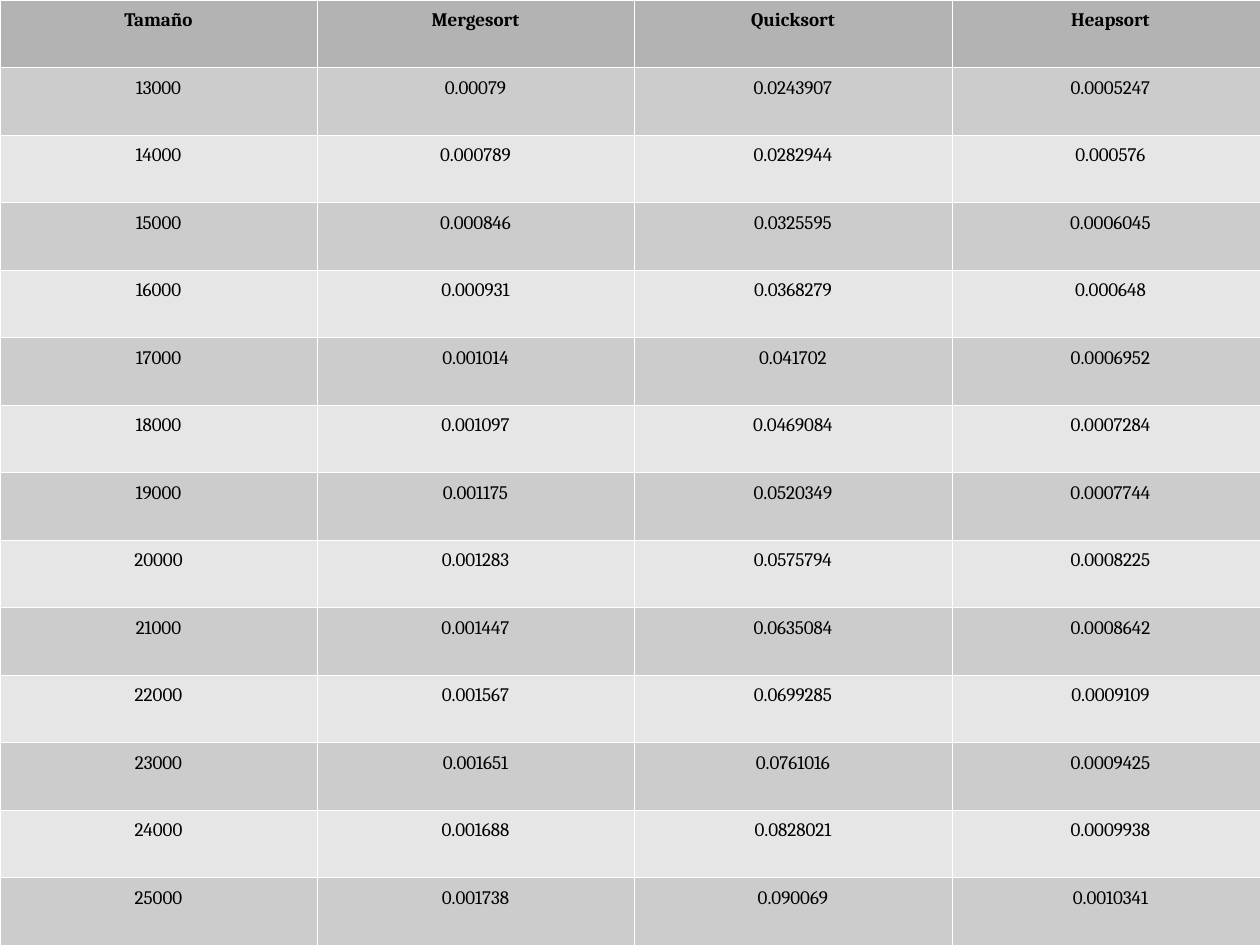
"""Build a slide with a table of sorting times by input size."""
import lxml.etree
import pptx
import pptx.dml.color
import pptx.enum.text
import pptx.oxml.ns
import pptx.util

HEADINGS = ("Tamaño", "Mergesort", "Quicksort", "Heapsort")
TIMES = [
    ("13000", "0.00079", "0.0243907", "0.0005247"),
    ("14000", "0.000789", "0.0282944", "0.000576"),
    ("15000", "0.000846", "0.0325595", "0.0006045"),
    ("16000", "0.000931", "0.0368279", "0.000648"),
    ("17000", "0.001014", "0.041702", "0.0006952"),
    ("18000", "0.001097", "0.0469084", "0.0007284"),
    ("19000", "0.001175", "0.0520349", "0.0007744"),
    ("20000", "0.001283", "0.0575794", "0.0008225"),
    ("21000", "0.001447", "0.0635084", "0.0008642"),
    ("22000", "0.001567", "0.0699285", "0.0009109"),
    ("23000", "0.001651", "0.0761016", "0.0009425"),
    ("24000", "0.001688", "0.0828021", "0.0009938"),
    ("25000", "0.001738", "0.090069", "0.0010341"),
]
THEME = {
    "font": "Cambria",
    "size": 12,
    "line_spacing": 1.18,
    "text": "000000",
    "header": "B3B3B3",
    "bands": ("CCCCCC", "E6E6E6"),
    "border": "FFFFFF",
    "border_width": 0.11,
}
EMU_PER_PX = 8000
SLIDE_WIDTH, SLIDE_HEIGHT = 1260, 945
COLUMN_WIDTHS = (317, 317, 318, 317)


def px(length):
    return pptx.util.Emu(length * EMU_PER_PX)


def rgb(color):
    return pptx.dml.color.RGBColor.from_string(color)


def write_text(frame, text, *, bold=False, size=THEME["size"], color=THEME["text"]):
    paragraph = frame.paragraphs[0]
    paragraph.alignment = pptx.enum.text.PP_ALIGN.CENTER
    paragraph.line_spacing = THEME["line_spacing"]
    run = paragraph.add_run()
    run.text = text
    run.font.name = THEME["font"]
    run.font.size = pptx.util.Pt(size)
    run.font.bold = bold
    run.font.color.rgb = rgb(color)


def draw_borders(cell):
    qualified = pptx.oxml.ns.qn
    properties = cell._tc.get_or_add_tcPr()
    width = str(pptx.util.Pt(THEME["border_width"]))
    for side in ("lnL", "lnR", "lnT", "lnB"):
        line = lxml.etree.SubElement(properties, qualified(f"a:{side}"), w=width)
        fill = lxml.etree.SubElement(line, qualified("a:solidFill"))
        lxml.etree.SubElement(fill, qualified("a:srgbClr"), val=THEME["border"])


def add_times_table(slide):
    rows = [HEADINGS, *TIMES]
    table = slide.shapes.add_table(
        len(rows), len(HEADINGS), 0, 0, px(sum(COLUMN_WIDTHS)), px(SLIDE_HEIGHT)
    ).table
    table.first_row = True
    table.horz_banding = False
    for column, width in zip(table.columns, COLUMN_WIDTHS):
        column.width = px(width)
    for index, values in enumerate(rows):
        is_header = index == 0
        color = THEME["header"] if is_header else THEME["bands"][(index - 1) % 2]
        table.rows[index].height = px(SLIDE_HEIGHT) // len(rows)
        for cell, value in zip(table.rows[index].cells, values):
            draw_borders(cell)
            cell.fill.solid()
            cell.fill.fore_color.rgb = rgb(color)
            write_text(cell.text_frame, value, bold=is_header)


def main():
    presentation = pptx.Presentation()
    presentation.slide_width = px(SLIDE_WIDTH)
    presentation.slide_height = px(SLIDE_HEIGHT)
    slide = presentation.slides.add_slide(presentation.slide_layouts[6])
    add_times_table(slide)
    presentation.save("out.pptx")


if __name__ == "__main__":
    main()
